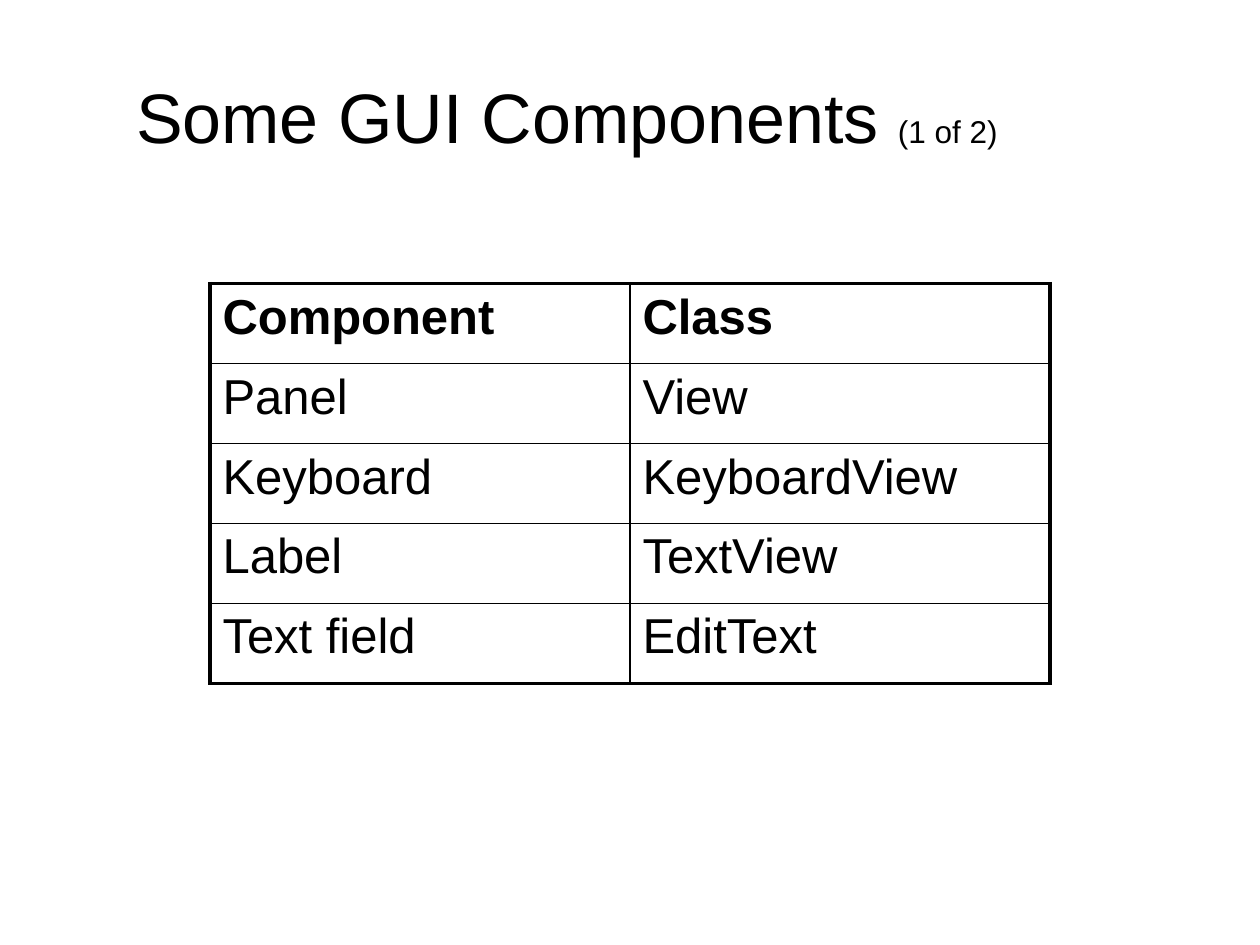
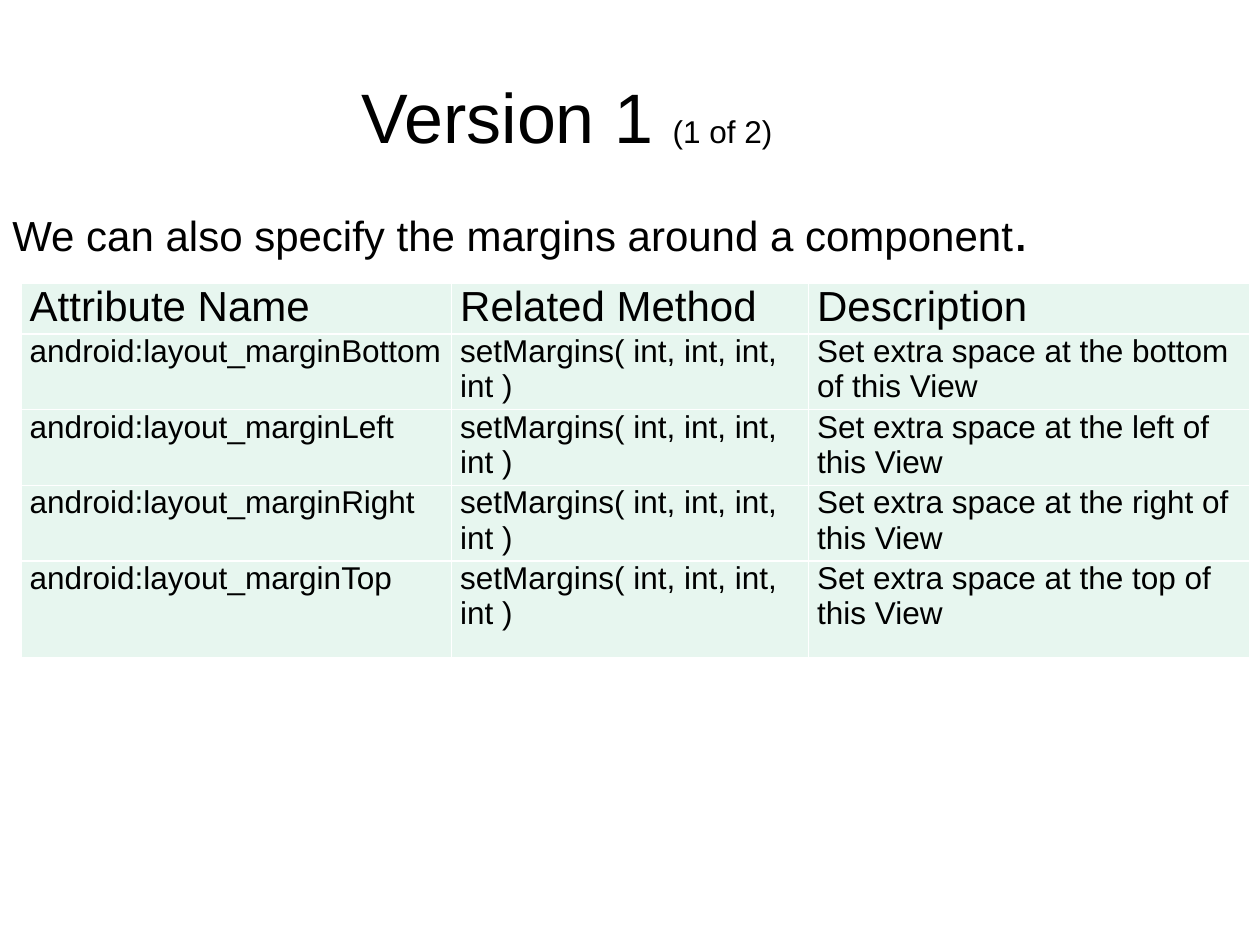
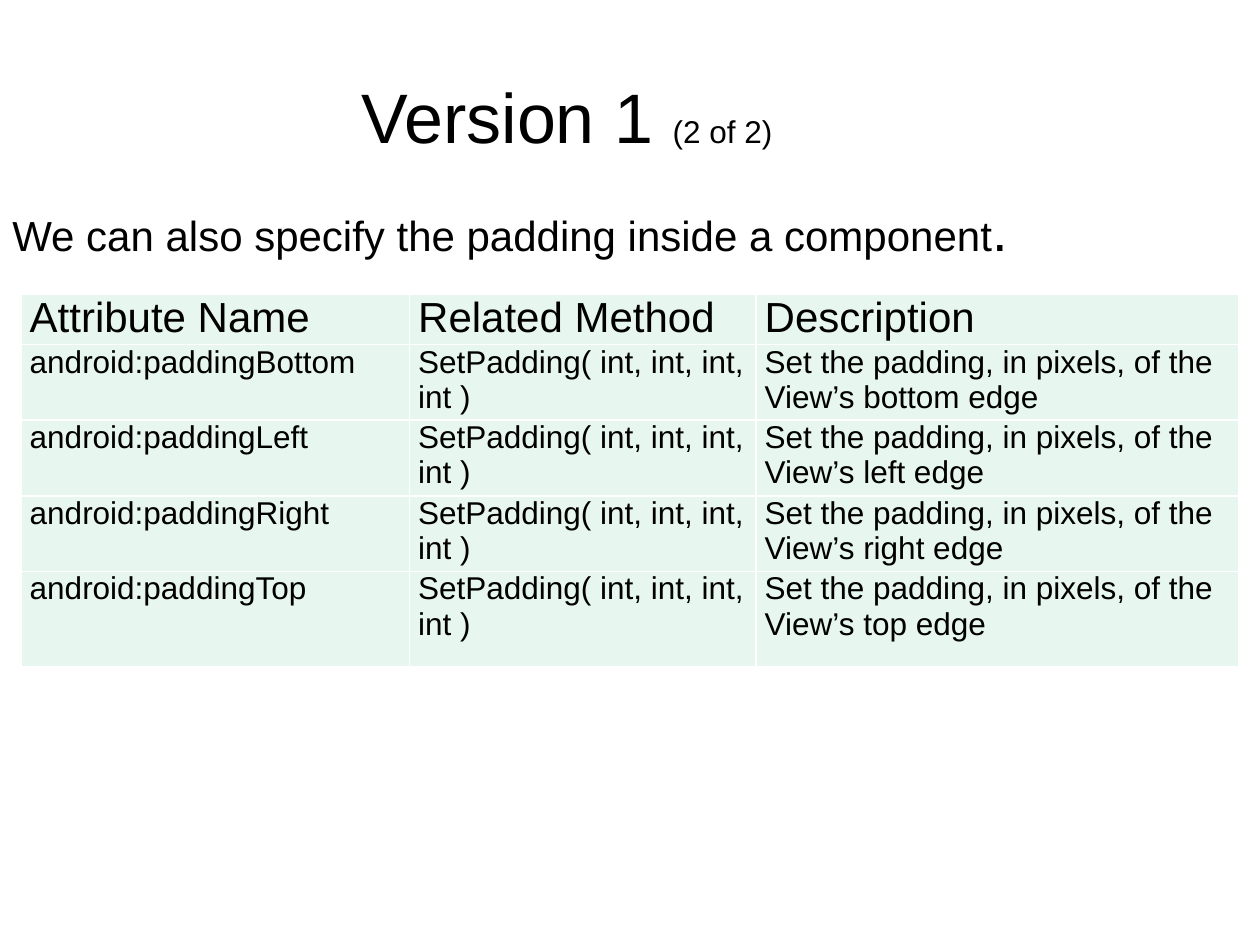
from dataclasses import dataclass

from lxml.etree import SubElement
from pptx import Presentation
from pptx.dml.color import RGBColor
from pptx.enum.text import MSO_ANCHOR, MSO_AUTO_SIZE, PP_ALIGN
from pptx.oxml.ns import qn
from pptx.util import Pt


@dataclass(frozen=True)
class Theme:
    font: str = "Arial"
    ink: str = "000000"
    paper: str = "FFFFFF"
    mint: str = "E7F6EF"
    title: int = 40
    grid: int = 28
    lead: int = 24
    stop: int = 32
    small: int = 18
    thin: float = 1
    thick: float = 2.25


T = Theme()

# Content
HEADER = ("Attribute Name", "Related Method", "Description")
SIDES = ("Bottom", "Left", "Right", "Top")

COMPONENTS = [
    ("Component", "Class"),
    ("Panel", "View"),
    ("Keyboard", "KeyboardView"),
    ("Label", "TextView"),
    ("Text field", "EditText"),
]
MARGINS = [HEADER] + [
    (f"android:layout_margin{side}", "setMargins( int, int, int, int )",
     f"Set extra space at the {side.lower()} of this View")
    for side in SIDES
]
PADDINGS = [HEADER] + [
    (f"android:padding{side}", "SetPadding( int, int, int, int )",
     f"Set the padding, in pixels, of the View’s {side.lower()} edge")
    for side in SIDES
]

# Lengths in points
SLIDES = [
    dict(title="Some GUI Components ", part="(1 of 2)", rows=COMPONENTS,
         at=(120, 162), cols=(240, 240), heights=[45.7] * 5),
    dict(title="Version 1 ", part="(1 of 2)", rows=MARGINS,
         lead="We can also specify the margins around a component", lead_height=342,
         at=(12, 162), cols=(246, 204, 252), heights=[27, 40.6, 40.6, 40.6, 55.4]),
    dict(title="Version 1 ", part="(2 of 2)", rows=PADDINGS,
         lead="We can also specify the padding inside a component", lead_height=384,
         at=(12, 168), cols=(222, 198, 276), heights=[28, 42.2, 42.2, 42.2, 54.4]),
]


# Text
def add_run(p, text, size, bold=False):
    r = p.add_run()
    r.text = text
    r.font.name = T.font
    r.font.size = Pt(size)
    r.font.bold = bold
    r.font.color.rgb = RGBColor.from_string(T.ink)


def add_title(s, title, part):
    sp = s.shapes.title
    sp.left, sp.top, sp.width, sp.height = Pt(0), Pt(18), Pt(648), Pt(90)
    tf = sp.text_frame
    tf.auto_size = MSO_AUTO_SIZE.NONE
    tf.vertical_anchor = MSO_ANCHOR.MIDDLE
    tf.margin_top = Pt(9.6)
    p = tf.paragraphs[0]
    p.alignment = PP_ALIGN.CENTER
    add_run(p, title, T.title)
    add_run(p, part, T.small)


def add_lead(s, text, height):
    tf = s.shapes.add_textbox(Pt(0), Pt(108), Pt(648), Pt(height)).text_frame
    tf.word_wrap = True
    p = tf.paragraphs[0]
    p.space_before = Pt(3.4)
    add_run(p, text, T.lead)
    add_run(p, ".", T.stop)


# Tables
def set_borders(cell, color, widths):
    tc_pr = cell._tc.get_or_add_tcPr()
    for i, (side, width) in enumerate(zip("LRTB", widths)):
        ln = tc_pr.makeelement(qn(f"a:ln{side}"), {"w": str(Pt(width))})
        fill = SubElement(ln, qn("a:solidFill"))
        SubElement(fill, qn("a:srgbClr"), val=color)
        tc_pr.insert(i, ln)


def style_ruled(cell, on_edges):
    cell.fill.background()
    set_borders(cell, T.ink, [T.thick if edge else T.thin for edge in on_edges])


def style_tinted(cell):
    cell.fill.solid()
    cell.fill.fore_color.rgb = RGBColor.from_string(T.mint)
    cell.margin_left = cell.margin_right = Pt(5)
    cell.margin_top = cell.margin_bottom = Pt(0)
    set_borders(cell, T.paper, [T.thin] * 4)


def add_grid(s, rows, at, cols, heights, tinted):
    left, top = at
    table = s.shapes.add_table(len(rows), len(cols), Pt(left), Pt(top),
                               Pt(sum(cols)), Pt(sum(heights))).table
    table.first_row = table.horz_banding = False
    for column, width in zip(table.columns, cols):
        column.width = Pt(width)
    for i, (row, height) in enumerate(zip(rows, heights)):
        table.rows[i].height = Pt(height)
        for j, text in enumerate(row):
            cell = table.cell(i, j)
            p = cell.text_frame.paragraphs[0]
            if tinted:
                add_run(p, text, T.small if i else T.lead)
                style_tinted(cell)
            else:
                add_run(p, text, T.grid, bold=i == 0)
                style_ruled(cell, (j == 0, j == len(cols) - 1,
                                   i == 0, i == len(rows) - 1))


def main():
    prs = Presentation()
    prs.slide_width, prs.slide_height = Pt(720), Pt(540)
    for page in SLIDES:
        s = prs.slides.add_slide(prs.slide_layouts[5])
        add_title(s, page["title"], page["part"])
        has_lead = "lead" in page
        if has_lead:
            add_lead(s, page["lead"], page["lead_height"])
        add_grid(s, page["rows"], page["at"], page["cols"], page["heights"],
                 tinted=has_lead)
    prs.save("out.pptx")


if __name__ == "__main__":
    main()
